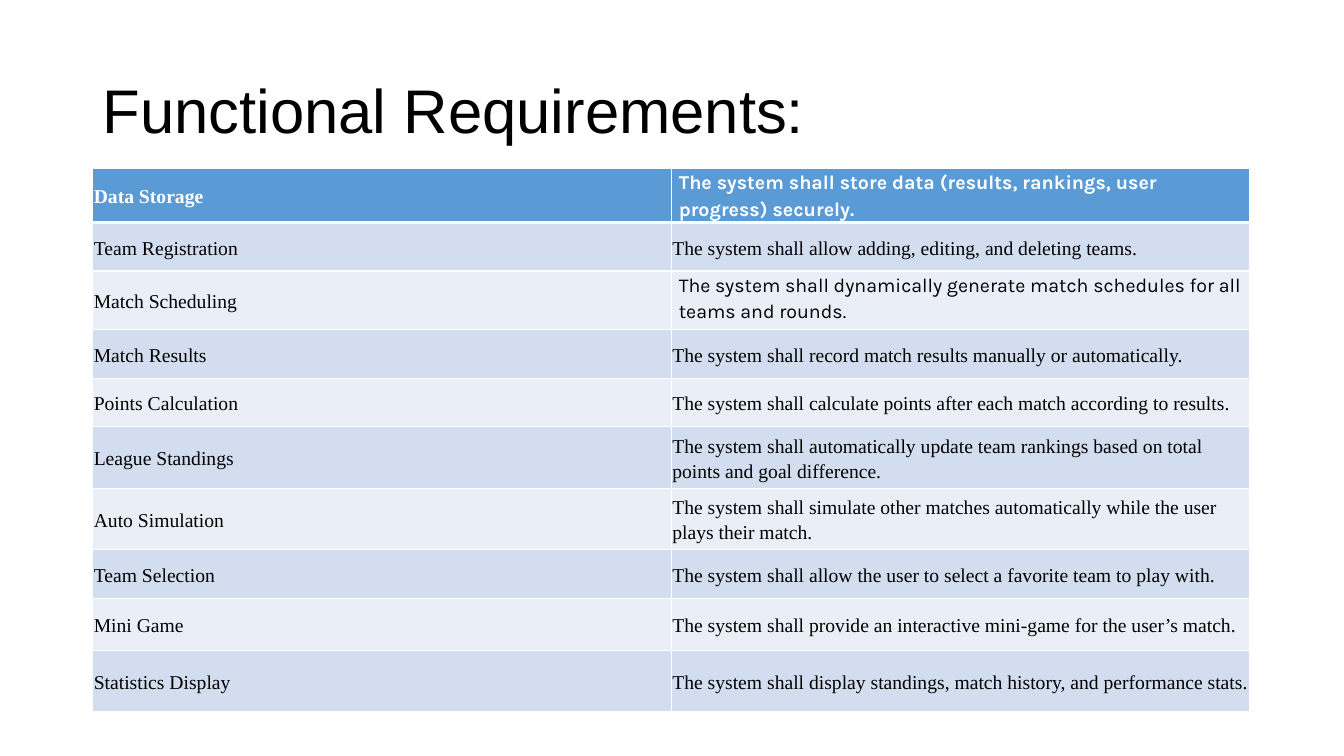
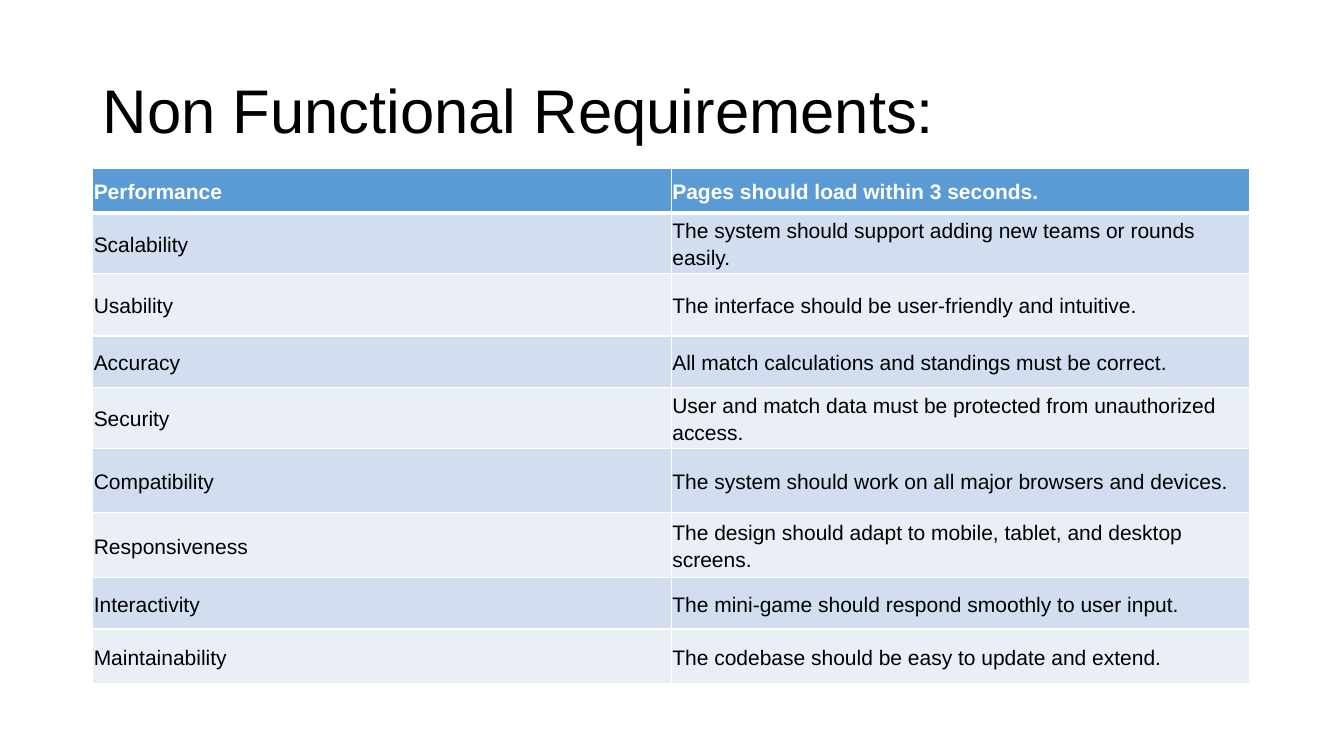
from lxml import etree
from pptx import Presentation
from pptx.dml.color import RGBColor
from pptx.enum.text import MSO_ANCHOR
from pptx.util import Pt

MID = MSO_ANCHOR.MIDDLE
TOP = MSO_ANCHOR.TOP
NS = "http://schemas.openxmlformats.org/drawingml/2006/main"
WHITE, BLACK, BLUE = "FFFFFF", "000000", "5B9BD5"
BANDS = ["EAEFF7", "D2DEEF"]
LEFT, WIDTH = 66.24, 826.56
SIDES = ["margin_left", "margin_top", "margin_right", "margin_bottom"]
TIGHT = dict.fromkeys(SIDES, Pt(0.75)) | {"vertical_anchor": MID}
LOOSE = dict(zip(SIDES, [Pt(5.4), Pt(0), Pt(5.4), Pt(0)])) | {"vertical_anchor": TOP}

pages = [
    {"title": "Functional Requirements:", "size": 14, "face": "Times New Roman", "karla": [0, 2], "rows": [
        (30.2, "Data Storage", "The system shall store data (results, rankings, user progress) securely."),
        (34.6, "Team Registration", "The system shall allow adding, editing, and deleting teams."),
        (41.9, "Match Scheduling", "The system shall dynamically generate match schedules for all teams and rounds."),
        (34.8, "Match Results", "The system shall record match results manually or automatically."),
        (34.6, "Points Calculation", "The system shall calculate points after each match according to results."),
        (44, "League Standings", "The system shall automatically update team rankings based on total points and goal difference."),
        (43.9, "Auto Simulation", "The system shall simulate other matches automatically while the user plays their match."),
        (34.8, "Team Selection", "The system shall allow the user to select a favorite team to play with."),
        (37.2, "Mini Game", "The system shall provide an interactive mini-game for the user’s match."),
        (43.7, "Statistics Display", "The system shall display standings, match history, and performance stats."),
    ]},
    {"title": "Non Functional Requirements:", "size": 15, "face": "Arial", "karla": [], "rows": [
        (31.7, "Performance", "Pages should load within 3 seconds."),
        (43.5, "Scalability", "The system should support adding new teams or rounds easily."),
        (44.5, "Usability", "The interface should be user-friendly and intuitive."),
        (36.7, "Accuracy", "All match calculations and standings must be correct."),
        (43.5, "Security", "User and match data must be protected from unauthorized access."),
        (46.1, "Compatibility", "The system should work on all major browsers and devices."),
        (46.1, "Responsiveness", "The design should adapt to mobile, tablet, and desktop screens."),
        (36.9, "Interactivity", "The mini-game should respond smoothly to user input."),
        (39.2, "Maintainability", "The codebase should be easy to update and extend."),
    ]},
]


def color(code):
    return RGBColor.from_string(code)


def write(frame, text, space, ink, **style):
    para = frame.paragraphs[0]
    para.line_spacing = space
    run = para.add_run()
    run.text = text
    run.font.color.rgb = color(ink)
    for key, value in style.items():
        setattr(run.font, key, value)


deck = Presentation()
deck.slide_width, deck.slide_height = Pt(960), Pt(540)

for page in pages:
    slide = deck.slides.add_slide(deck.slide_layouts[6])
    box = slide.shapes.add_textbox(Pt(LEFT), Pt(28.8), Pt(828), Pt(104.4))
    box.text_frame.word_wrap = True
    box.text_frame.vertical_anchor = MID
    write(box.text_frame, page["title"], 0.9, BLACK, size=Pt(44), name="Arial")

    rows = page["rows"]
    high = sum(row[0] for row in rows)
    table = slide.shapes.add_table(len(rows), 2, Pt(LEFT), Pt(120.4), Pt(WIDTH), Pt(high)).table
    for i, (tall, *texts) in enumerate(rows):
        table.rows[i].height = Pt(tall)
        head = i == 0
        for j, text in enumerate(texts):
            cell = table.cell(i, j)
            karla = j == 1 and i in page["karla"]
            for key, value in (LOOSE if karla else TIGHT).items():
                setattr(cell, key, value)
            write(cell.text_frame, text, 1.15, WHITE if head else BLACK, bold=head,
                  size=Pt(page["size"]), name="Karla" if karla else page["face"])
            props = cell._tc.get_or_add_tcPr()
            for side in "LRTB":
                thick = (i, side) in [(0, "B"), (1, "T")]
                line = etree.SubElement(props, f"{{{NS}}}ln{side}", w=str(Pt(3 if thick else 1)))
                fill = etree.SubElement(line, f"{{{NS}}}solidFill")
                etree.SubElement(fill, f"{{{NS}}}srgbClr", val=WHITE)
            cell.fill.solid()
            cell.fill.fore_color.rgb = color(BLUE if head else BANDS[i % 2])

deck.save("out.pptx")
